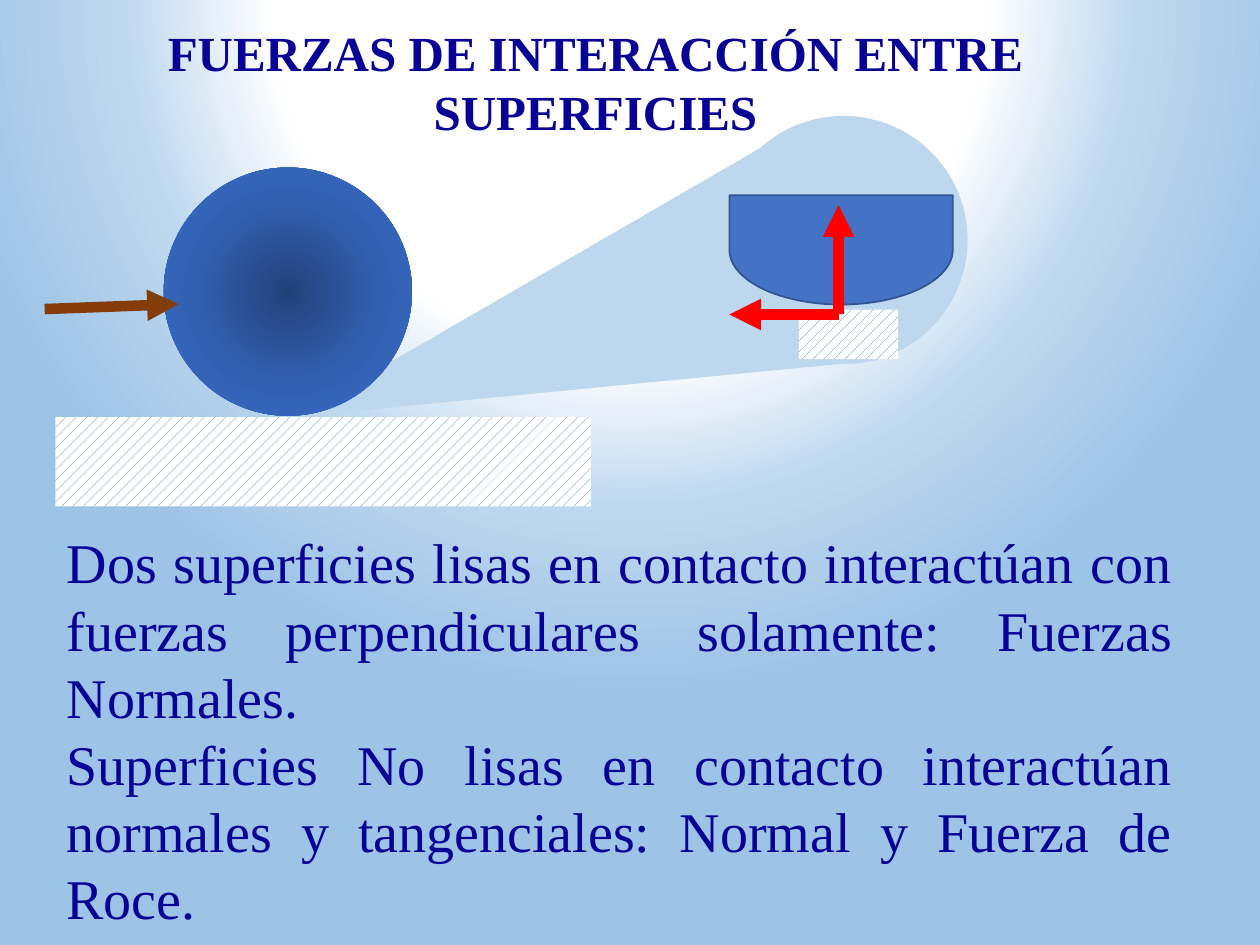
from collections import namedtuple

from lxml import etree
from pptx import Presentation
from pptx.dml.color import RGBColor
from pptx.enum.dml import MSO_PATTERN
from pptx.enum.shapes import MSO_CONNECTOR, MSO_SHAPE
from pptx.enum.text import MSO_AUTO_SIZE, PP_ALIGN
from pptx.oxml.ns import qn
from pptx.util import Inches, Pt

CENTER, JUSTIFY = PP_ALIGN.CENTER, PP_ALIGN.JUSTIFY
GROW = MSO_AUTO_SIZE.SHAPE_TO_FIT_TEXT
STRAIGHT = MSO_CONNECTOR.STRAIGHT
HATCH = MSO_PATTERN.DASHED_UPWARD_DIAGONAL
RECT, OVAL = MSO_SHAPE.RECTANGLE, MSO_SHAPE.OVAL
TRIANGLE, DELAY = MSO_SHAPE.ISOSCELES_TRIANGLE, MSO_SHAPE.FLOWCHART_DELAY

CELL = Inches(0.1)
COLUMNS, ROWS = 100, 75
INK, BLUE, PALE, WHITE = "090296", "4472C4", "BDD7EE", "FFFFFF"
RED, BROWN, EDGE = "FF0000", "843C0B", "325491"
SKY_STOPS = [(45, WHITE), (65, PALE), (89, "9DC3E6")]
BALL_STOPS = [(0, "23427A"), (50, "315EAD"), (100, "3A6FCE")]
TITLE_FONT = {"name": "Times New Roman", "size": Pt(28), "bold": True}
BODY_FONT = {"name": "Times New Roman", "size": Pt(32), "bold": False}

Box = namedtuple("Box", "left top width height")
WHOLE = Box(0, 0, 1, 1)


def color(hex_code):
    return RGBColor.from_string(hex_code)


def share(box, part):
    return Box(box.left + part.left * box.width, box.top + part.top * box.height,
               part.width * box.width, part.height * box.height)


def emu(cells):
    return [round(value * CELL) for value in cells]


def circular_gradient(fill, owner, stops, focus):
    fill.gradient()
    gradient = owner.find(".//" + qn("a:gradFill"))
    for child in list(gradient):
        gradient.remove(child)
    stop_list = etree.SubElement(gradient, qn("a:gsLst"))
    for percent, hex_code in stops:
        stop = etree.SubElement(stop_list, qn("a:gs"), pos=str(percent * 1000))
        etree.SubElement(stop, qn("a:srgbClr"), val=hex_code)
    circle = etree.SubElement(gradient, qn("a:path"), path="circle")
    edges = {side: str(percent * 1000) for side, percent in zip("ltrb", focus)}
    etree.SubElement(circle, qn("a:fillToRect"), edges)


def add_form(slide, kind, box, part=WHOLE, fill=None, rotation=0):
    form = slide.shapes.add_shape(kind, *emu(share(box, part)))
    form.shadow.inherit = False
    form.rotation = rotation
    form.line.fill.background()
    if fill:
        form.fill.solid()
        form.fill.fore_color.rgb = color(fill)
    return form


def add_hatched(slide, box, part=WHOLE):
    surface = add_form(slide, RECT, box, part)
    surface.fill.patterned()
    surface.fill.pattern = HATCH
    surface.fill.fore_color.rgb = color(BLUE)
    surface.fill.back_color.rgb = color(WHITE)


def add_force(slide, box, start, tip, hex_code):
    ends = [edge + ratio * size for point in (start, tip)
            for edge, ratio, size in zip(box[:2], point, box[2:])]
    force = slide.shapes.add_connector(STRAIGHT, *emu(ends))
    force.line.width = Pt(6)
    force.line.color.rgb = color(hex_code)
    properties = force._element.spPr
    etree.SubElement(properties.find(qn("a:ln")), qn("a:tailEnd"), type="triangle")
    etree.SubElement(properties, qn("a:effectLst"))


def add_text(slide, box, statements, font, alignment):
    frame = slide.shapes.add_textbox(*emu(box)).text_frame
    frame.word_wrap = True
    frame.auto_size = GROW
    frame.text = "\n".join(statements)
    for paragraph in frame.paragraphs:
        paragraph.alignment = alignment
        run_font = paragraph.runs[0].font
        for attribute, value in font.items():
            setattr(run_font, attribute, value)
        run_font.color.rgb = color(INK)


def draw_contact_zoom(slide, box):
    add_form(slide, TRIANGLE, box, Box(-1.11, -0.29, 1, 2.3), PALE, 252.2)
    add_form(slide, OVAL, box, fill=PALE)
    body = add_form(slide, DELAY, box, Box(0.27, 0.09, 0.44, 0.9), BLUE, 90)
    body.line.color.rgb = color(EDGE)
    body.line.width = Pt(1)
    add_hatched(slide, box, Box(0.32, 0.78, 0.4, 0.2))
    contact = (0.48, 0.8)
    for tip in [(0.48, 0.36), (0.04, 0.8)]:
        add_force(slide, box, contact, tip, RED)


def draw_pushed_ball(slide, box):
    ball = add_form(slide, OVAL, box)
    circular_gradient(ball.fill, ball._element, BALL_STOPS, (50, 50, 50, 50))
    add_force(slide, box, (-0.48, 0.57), (0.06, 0.55), BROWN)


def main():
    presentation = Presentation()
    presentation.slide_width = COLUMNS * CELL
    presentation.slide_height = ROWS * CELL
    slide = presentation.slides.add_slide(presentation.slide_layouts[6])
    circular_gradient(slide.background.fill, slide.element, SKY_STOPS, (50, -80, 50, 180))

    add_text(slide, Box(7.5, 1.3, 79.5, 10.4),
             ["FUERZAS DE INTERACCIÓN ENTRE SUPERFICIES"], TITLE_FONT, CENTER)
    add_hatched(slide, Box(4.4, 33.1, 42.5, 7.1))
    draw_contact_zoom(slide, Box(57.1, 9.2, 19.7, 19.7))
    draw_pushed_ball(slide, Box(13, 13.3, 19.7, 19.7))
    add_text(slide, Box(4.3, 41.4, 89.8, 33.3), [
        "Dos superficies lisas en contacto interactúan con fuerzas "
        "perpendiculares solamente: Fuerzas Normales.",
        "Superficies No lisas en contacto interactúan normales y "
        "tangenciales: Normal y Fuerza de Roce.",
    ], BODY_FONT, JUSTIFY)

    presentation.save("out.pptx")


if __name__ == "__main__":
    main()
